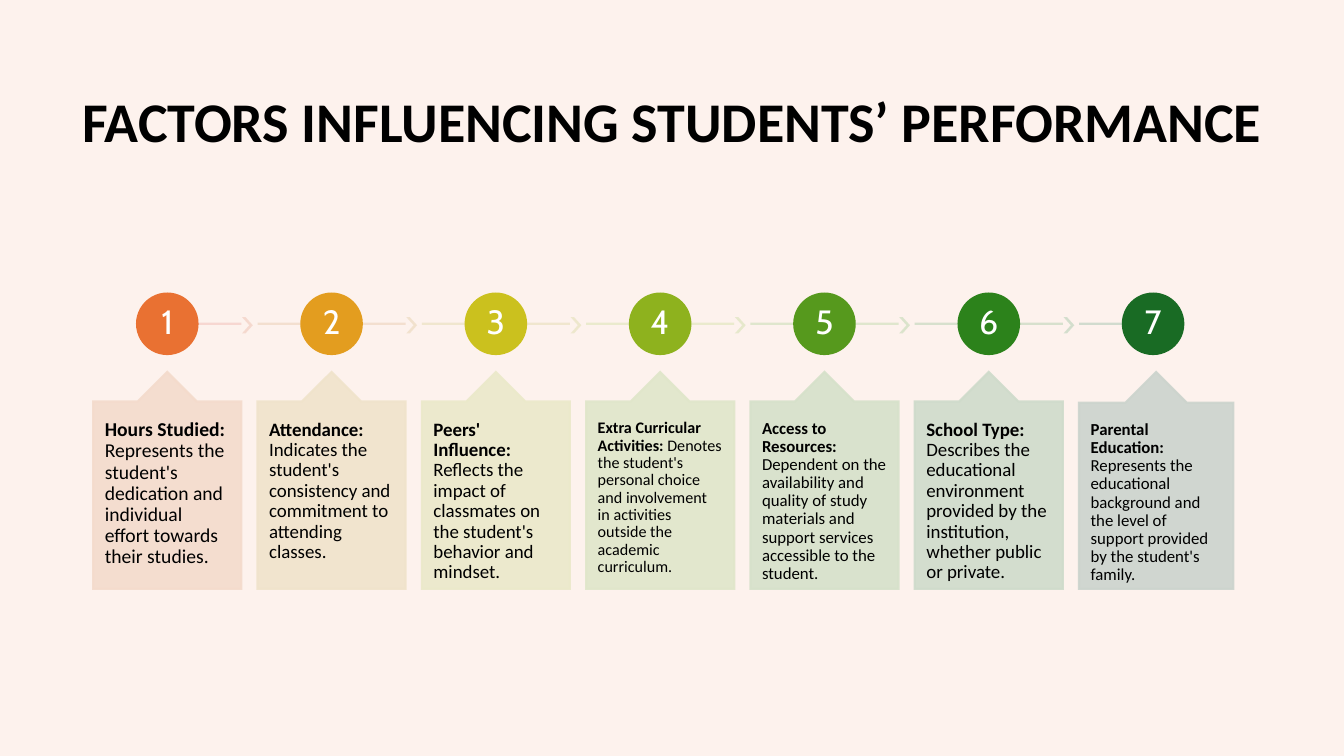
from dataclasses import dataclass

from lxml import etree
from pptx import Presentation
from pptx.dml import color as dml
from pptx.enum import shapes, text
from pptx.oxml import ns
from pptx.util import Pt


@dataclass(frozen=True)
class Theme:
    background: str = "FDF2ED"
    ink: str = "000000"
    white: str = "FFFFFF"
    body_font: str = "Calibri"
    number_font: str = "Cabin"
    title_size: float = 40
    number_size: float = 24
    outline: float = 1.5
    tint_alpha: int = 90


theme = Theme()

# Heading, description, text size, then circle, line, chevron and callout colours
factors = [
    ("Hours Studied:", "Represents the student's dedication and individual effort towards their studies.",
     14, "E97132", "F7D5CE", "F5D8CD", "F4DBCC"),
    ("Attendance:", "Indicates the student's consistency and commitment to attending classes.",
     13.5, "E39D1F", "F3DECC", "F1E1CC", "F0E3CB"),
    ("Peers' Influence:", "Reflects the impact of classmates on the student's behavior and mindset.",
     13.5, "CBC11E", "EFE5CB", "EDE7CB", "EBE9CA"),
    ("Extra Curricular Activities:", "Denotes the student's personal choice and involvement in activities "
     "outside the academic curriculum.",
     11.5, "8EB21E", "E9EACA", "E5E8CA", "E0E6CA"),
    ("Access to Resources:", "Dependent on the availability and quality of study materials and support "
     "services accessible to the student.",
     12, "56991D", "DCE5CA", "D9E3CA", "D6E1CA"),
    ("School Type:", "Describes the educational environment provided by the institution, "
     "whether public or private.",
     13.5, "2C821B", "D3DFCA", "D1DDCB", "CFDBCB"),
    ("Parental Education:", "Represents the educational background and the level of support provided "
     "by the student's family.",
     12, "196B24", "CDD9CB", None, "CCD4CD"),
]


def paint(item, colour, alpha=100, filled=True):
    """Give an item one colour for fill and outline, square corners and no shadow."""
    item.line.width = Pt(theme.outline)
    fills = [item.line.fill]
    if filled:
        fills.append(item.fill)
    for fill in fills:
        fill.solid()
        fill.fore_color.rgb = dml.RGBColor.from_string(colour)
    properties = item._element.spPr
    if alpha < 100:
        for node in properties.iter(ns.qn("a:srgbClr")):
            etree.SubElement(node, ns.qn("a:alpha")).set("val", str(alpha * 1000))
    outline = properties.find(ns.qn("a:ln"))
    etree.SubElement(outline, ns.qn("a:miter")).set("lim", "800000")
    etree.SubElement(properties, ns.qn("a:effectLst"))


def style(item, font, size, colour, align, anchor, insets):
    """Set the frame and the paragraph font; return the first paragraph."""
    frame = item.text_frame
    frame.word_wrap = True
    frame.auto_size = text.MSO_AUTO_SIZE.NONE
    frame.vertical_anchor = anchor
    frame.margin_left = frame.margin_right = Pt(insets[0])
    frame.margin_top = frame.margin_bottom = Pt(insets[1])
    para = frame.paragraphs[0]
    para.alignment = align
    para.line_spacing = 0.9
    para.font.name = font
    para.font.size = Pt(size)
    para.font.color.rgb = dml.RGBColor.from_string(colour)
    return para


deck = Presentation()
deck.slide_width, deck.slide_height = Pt(960), Pt(540)
page = deck.slides.add_slide(deck.slide_layouts[5])
page.background.fill.solid()
page.background.fill.fore_color.rgb = dml.RGBColor.from_string(theme.background)

# Title
title = page.shapes.title
title.left, title.top, title.width, title.height = Pt(0), Pt(44), Pt(960), Pt(89)
title.text_frame.text = "FACTORS INFLUENCING STUDENTS’ PERFORMANCE"
para = style(title, theme.body_font, theme.title_size, theme.ink,
             text.PP_ALIGN.CENTER, text.MSO_ANCHOR.MIDDLE, (7.2, 3.6))
para.font.bold = True

# Timeline measures
first_left, pitch = 66.6, 117.36
card_width, last_card_width = 105.8, 110.2
card_top, card_height = 265.7, 155
axis, circle_size = 231.3, 43.2
chevron_width, chevron_height = 5, 10
last = len(factors) - 1

for index, (heading, description, size, strong, line_tint, chevron_tint, card_tint) in enumerate(factors):
    left = first_left + index * pitch
    middle = left + card_width / 2

    # Line behind the circle; the row starts and ends at a circle
    start = middle if index == 0 else left
    end = middle if index == last else left + card_width
    track = page.shapes.add_connector(shapes.MSO_CONNECTOR.STRAIGHT, Pt(start), Pt(axis), Pt(end), Pt(axis))
    paint(track, line_tint, theme.tint_alpha, filled=False)

    # Chevron towards the next step
    if index < last:
        chevron = page.shapes.add_shape(
            shapes.MSO_SHAPE.CHEVRON, Pt(left + 108), Pt(axis + 1 - chevron_height / 2),
            Pt(chevron_width), Pt(chevron_height))
        chevron.adjustments[0] = 0.9
        paint(chevron, chevron_tint, theme.tint_alpha)

    # Numbered circle
    circle = page.shapes.add_shape(
        shapes.MSO_SHAPE.OVAL, Pt(middle - circle_size / 2), Pt(axis - circle_size / 2),
        Pt(circle_size), Pt(circle_size))
    paint(circle, strong)
    circle.text_frame.text = str(index + 1)
    style(circle, theme.number_font, theme.number_size, theme.white,
          text.PP_ALIGN.CENTER, text.MSO_ANCHOR.MIDDLE, (1.4, 1.4))

    # Callout with the description
    width = last_card_width if index == last else card_width
    card = page.shapes.add_shape(
        shapes.MSO_SHAPE.UP_ARROW_CALLOUT, Pt(left), Pt(card_top), Pt(width), Pt(card_height))
    for position, value in enumerate((0.5, 0.2, 0.2, 1)):
        card.adjustments[position] = value
    paint(card, card_tint, theme.tint_alpha)
    para = style(card, theme.body_font, size, theme.ink,
                 text.PP_ALIGN.LEFT, text.MSO_ANCHOR.TOP, (8.3, 13))
    span = para.add_run()
    span.text = heading
    span.font.bold = True
    para.add_run().text = " " + description

deck.save("out.pptx")
